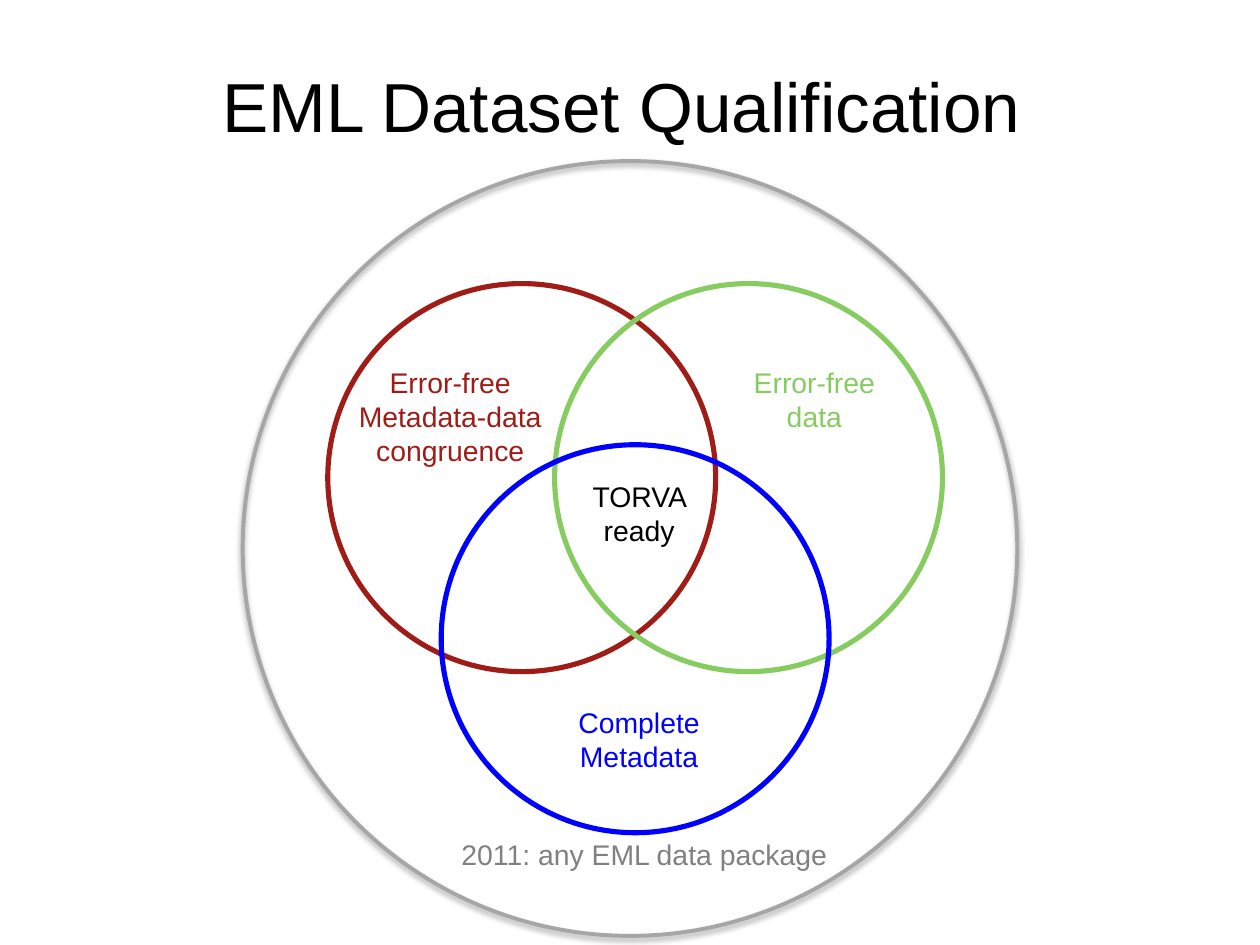
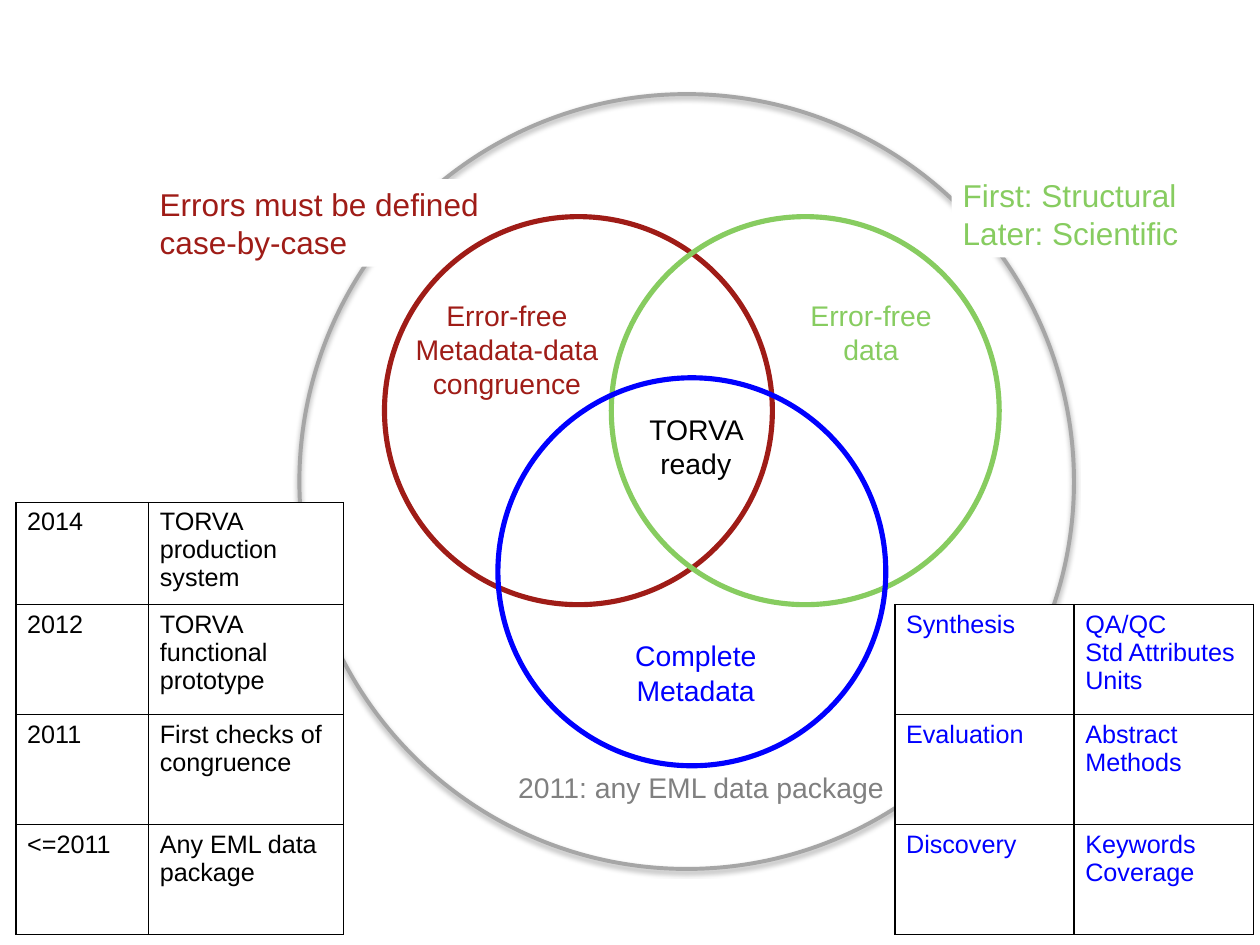
from dataclasses import dataclass

from lxml.etree import SubElement
from pptx import Presentation
from pptx.dml.color import RGBColor
from pptx.enum.shapes import MSO_SHAPE
from pptx.enum.text import MSO_ANCHOR, PP_ALIGN
from pptx.oxml.ns import qn
from pptx.util import Inches, Pt


@dataclass(frozen=True)
class Theme:
    font: str = "Arial"
    black: str = "000000"
    white: str = "FFFFFF"
    congruence: str = "9F1C17"
    data: str = "87CC60"
    metadata: str = "0000FF"
    ring: str = "A6A6A6"
    caption: str = "808080"
    title_size: int = 44
    callout_size: int = 20
    label_size: int = 18
    table_size: int = 16
    circle_line: float = 3.25
    ring_line: float = 2.5
    border_line: float = 1


THEME = Theme()
RING_DIAMETER = 6.83
CIRCLE_DIAMETER = 3.42


def write_text(frame, text, *, size, color, align=PP_ALIGN.LEFT):
    for index, line in enumerate(text.split("\n")):
        paragraph = frame.paragraphs[0] if index == 0 else frame.add_paragraph()
        paragraph.alignment = align
        run = paragraph.add_run()
        run.text = line
        run.font.name = THEME.font
        run.font.size = Pt(size)
        run.font.color.rgb = RGBColor.from_string(color)


def add_text(slide, box, text, *, wrap=True, anchor=MSO_ANCHOR.TOP, fill=None, **text_format):
    shape = slide.shapes.add_textbox(*map(Inches, box))
    shape.text_frame.word_wrap = wrap
    shape.text_frame.vertical_anchor = anchor
    if fill:
        shape.fill.solid()
        shape.fill.fore_color.rgb = RGBColor.from_string(fill)
    write_text(shape.text_frame, text, **text_format)


def add_circle(slide, left, top, diameter, color, width):
    shape = slide.shapes.add_shape(
        MSO_SHAPE.OVAL, *map(Inches, (left, top, diameter, diameter))
    )
    shape.shadow.inherit = False
    shape.fill.background()
    shape.line.color.rgb = RGBColor.from_string(color)
    shape.line.width = Pt(width)
    return shape


def add_ring(slide, left, top):
    ring = add_circle(slide, left, top, RING_DIAMETER, THEME.ring, THEME.ring_line)
    effects = ring._element.spPr.find(qn("a:effectLst"))
    shadow = SubElement(
        effects, qn("a:outerShdw"), blurRad=str(Pt(3.1)), dist=str(Pt(1.8)),
        dir="5400000", rotWithShape="0",
    )
    color = SubElement(shadow, qn("a:srgbClr"), val=THEME.black)
    SubElement(color, qn("a:alpha"), val="35000")


def add_venn(slide, left, top):
    circles = (
        (0.75, 1.08, THEME.congruence),
        (2.75, 1.08, THEME.data),
        (1.75, 2.5, THEME.metadata),
    )
    for x, y, color in circles:
        add_circle(slide, left + x, top + y, CIRCLE_DIAMETER, color, THEME.circle_line)
    labels = (
        (0.83, 1.75, 2, 1.01, "Error-free Metadata-data congruence", THEME.congruence),
        (2.33, 4.75, 2.33, 0.71, "Complete Metadata", THEME.metadata),
        (4.25, 1.75, 1.58, 0.71, "Error-free data", THEME.data),
        (2.83, 2.75, 1.33, 0.71, "TORVA ready", THEME.black),
    )
    for x, y, width, height, text, color in labels:
        add_text(slide, (left + x, top + y, width, height), text,
                 size=THEME.label_size, color=color, align=PP_ALIGN.CENTER)
    add_text(slide, (left + 1.83, top + 5.91, 3.46, 0.4), "2011: any EML data package",
             wrap=False, size=THEME.label_size, color=THEME.caption)


def add_borders(cell):
    properties = cell._tc.get_or_add_tcPr()
    for side in ("lnL", "lnR", "lnT", "lnB"):
        line = SubElement(properties, qn(f"a:{side}"), w=str(Pt(THEME.border_line)))
        fill = SubElement(line, qn("a:solidFill"))
        SubElement(fill, qn("a:srgbClr"), val=THEME.black)


def add_grid(slide, left, top, column_widths, row_heights, rows, color):
    size = (sum(column_widths), sum(row_heights))
    table = slide.shapes.add_table(
        len(rows), len(column_widths), *map(Inches, (left, top, *size))
    ).table
    table.first_row = False
    table.horz_banding = False
    for column, width in zip(table.columns, column_widths):
        column.width = Inches(width)
    for row, height, texts in zip(table.rows, row_heights, rows):
        row.height = Inches(height)
        for cell, text in zip(row.cells, texts):
            add_borders(cell)
            cell.fill.solid()
            cell.fill.fore_color.rgb = RGBColor.from_string(THEME.white)
            write_text(cell.text_frame, text, size=THEME.table_size, color=color)


def build_qualification(slide, left, top):
    add_text(slide, (0.83, 0.42, 9.31, 1.01), "EML Dataset Qualification",
             anchor=MSO_ANCHOR.MIDDLE, size=THEME.title_size, color=THEME.black,
             align=PP_ALIGN.CENTER)
    add_venn(slide, left, top)
    add_ring(slide, left, top)


def build_stages(slide, left, top):
    add_ring(slide, left, top)
    metadata_levels = (
        ("Synthesis", "QA/QC\nStd Attributes\nUnits"),
        ("Evaluation", "Abstract\nMethods"),
        ("Discovery", "Keywords\nCoverage"),
    )
    add_grid(slide, 7.89, 5.33, (1.58, 1.58), (0.97,) * 3, metadata_levels, THEME.metadata)
    add_text(slide, (8.39, 1.5, 2.12, 0.77), "First: Structural\nLater: Scientific",
             wrap=False, fill=THEME.white, size=THEME.callout_size, color=THEME.data)
    add_text(slide, (1.31, 1.58, 3.25, 0.77), "Errors must be defined case-by-case",
             fill=THEME.white, size=THEME.callout_size, color=THEME.congruence)
    timeline = (
        ("2014", "TORVA production system"),
        ("2012", "TORVA functional prototype"),
        ("2011", "First checks of congruence"),
        ("<=2011", "Any EML data package"),
    )
    add_grid(slide, 0.14, 4.43, (1.17, 1.72), (0.9,) + (0.97,) * 3, timeline, THEME.black)
    add_venn(slide, left, top)


def main():
    presentation = Presentation()
    presentation.slide_width = Inches(11.11)
    presentation.slide_height = Inches(8.33)
    blank = presentation.slide_layouts[6]
    build_qualification(presentation.slides.add_slide(blank), 2.14, 1.42)
    build_stages(presentation.slides.add_slide(blank), 2.64, 0.83)
    presentation.save("out.pptx")


main()
